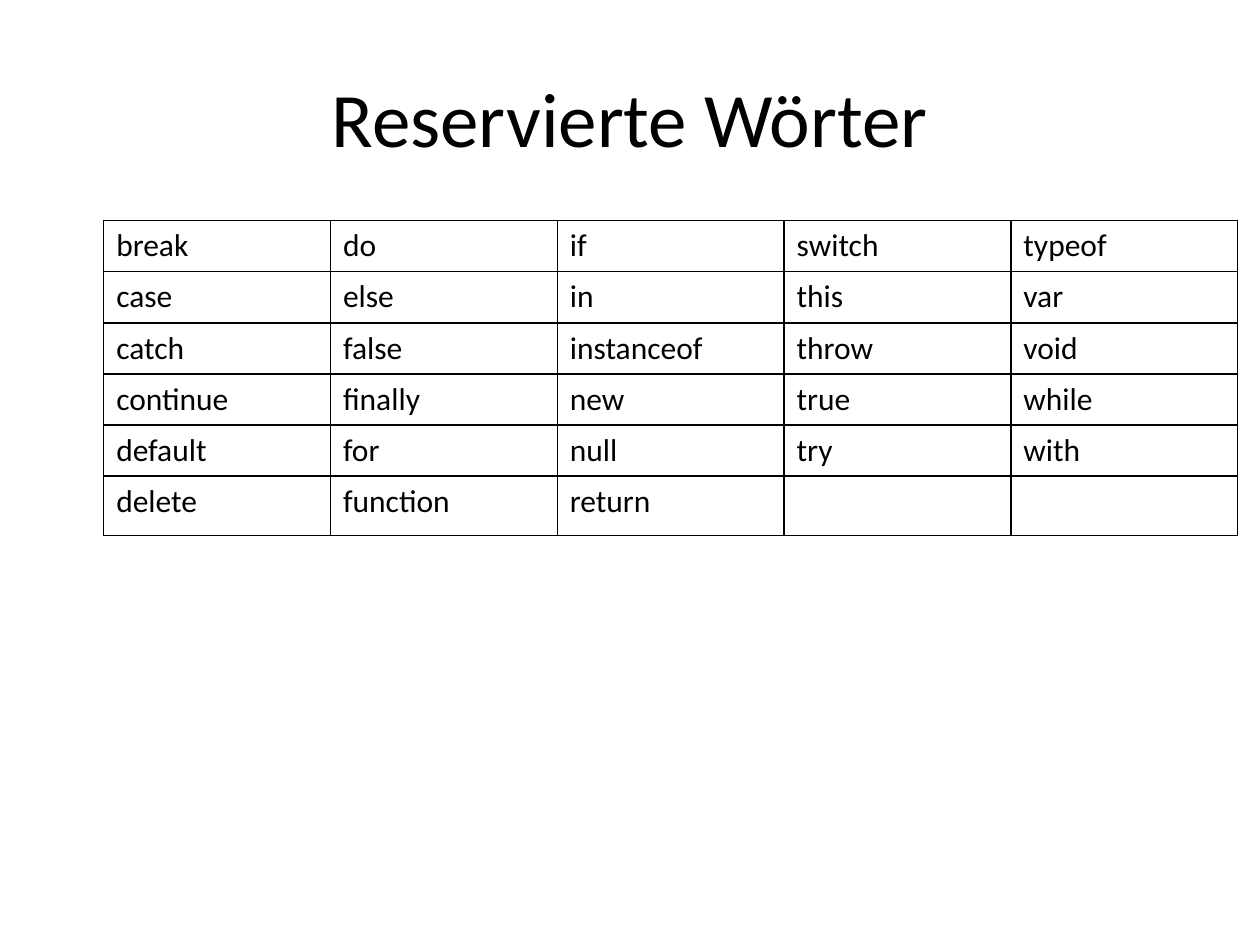
from dataclasses import dataclass

from lxml.etree import SubElement
from pptx import Presentation
from pptx.dml.color import RGBColor
from pptx.enum.text import MSO_ANCHOR, PP_ALIGN
from pptx.oxml.ns import qn
from pptx.util import Pt

TITLE = "Reservierte Wörter"
WORDS = [
    ["break", "do", "if", "switch", "typeof"],
    ["case", "else", "in", "this", "var"],
    ["catch", "false", "instanceof", "throw", "void"],
    ["continue", "finally", "new", "true", "while"],
    ["default", "for", "null", "try", "with"],
    ["delete", "function", "return", "", ""],
]


@dataclass(frozen=True)
class Theme:
    font: str = "Calibri"
    ink: str = "000000"
    title: int = 44
    body: int = 18
    rule: int = 1


THEME = Theme()
COL = 129.6
ROWS = [29.25] * (len(WORDS) - 1) + [33.75]


def style(part, size):
    for run in part.runs:
        run.font.name = THEME.font
        run.font.size = Pt(size)
        run.font.color.rgb = RGBColor.from_string(THEME.ink)


def frame(cell):
    """Draw a solid rule on all four sides of a cell without fill."""
    props = cell._tc.get_or_add_tcPr()
    for side in ("a:lnL", "a:lnR", "a:lnT", "a:lnB"):
        line = SubElement(props, qn(side), w=str(Pt(THEME.rule)))
        fill = SubElement(line, qn("a:solidFill"))
        SubElement(fill, qn("a:srgbClr"), val=THEME.ink)
    cell.fill.background()


def add_title(slide):
    box = slide.shapes.add_textbox(Pt(36), Pt(21.6), Pt(648), Pt(90))
    text = box.text_frame
    text.word_wrap = True
    text.vertical_anchor = MSO_ANCHOR.MIDDLE
    text.text = TITLE
    head = text.paragraphs[0]
    head.alignment = PP_ALIGN.CENTER
    style(head, THEME.title)


def add_words(slide):
    count = len(WORDS[0])
    table = slide.shapes.add_table(
        len(WORDS), count, Pt(59.25), Pt(126), Pt(COL * count), Pt(sum(ROWS))
    ).table
    table.first_row = table.horz_banding = False
    for col in table.columns:
        col.width = Pt(COL)
    for r, (words, height) in enumerate(zip(WORDS, ROWS)):
        table.rows[r].height = Pt(height)
        for c, word in enumerate(words):
            cell = table.cell(r, c)
            cell.text_frame.text = word
            style(cell.text_frame.paragraphs[0], THEME.body)
            frame(cell)


def main():
    deck = Presentation()
    deck.slide_width, deck.slide_height = Pt(720), Pt(540)
    slide = deck.slides.add_slide(deck.slide_layouts[6])
    add_title(slide)
    add_words(slide)
    deck.save("out.pptx")


if __name__ == "__main__":
    main()
